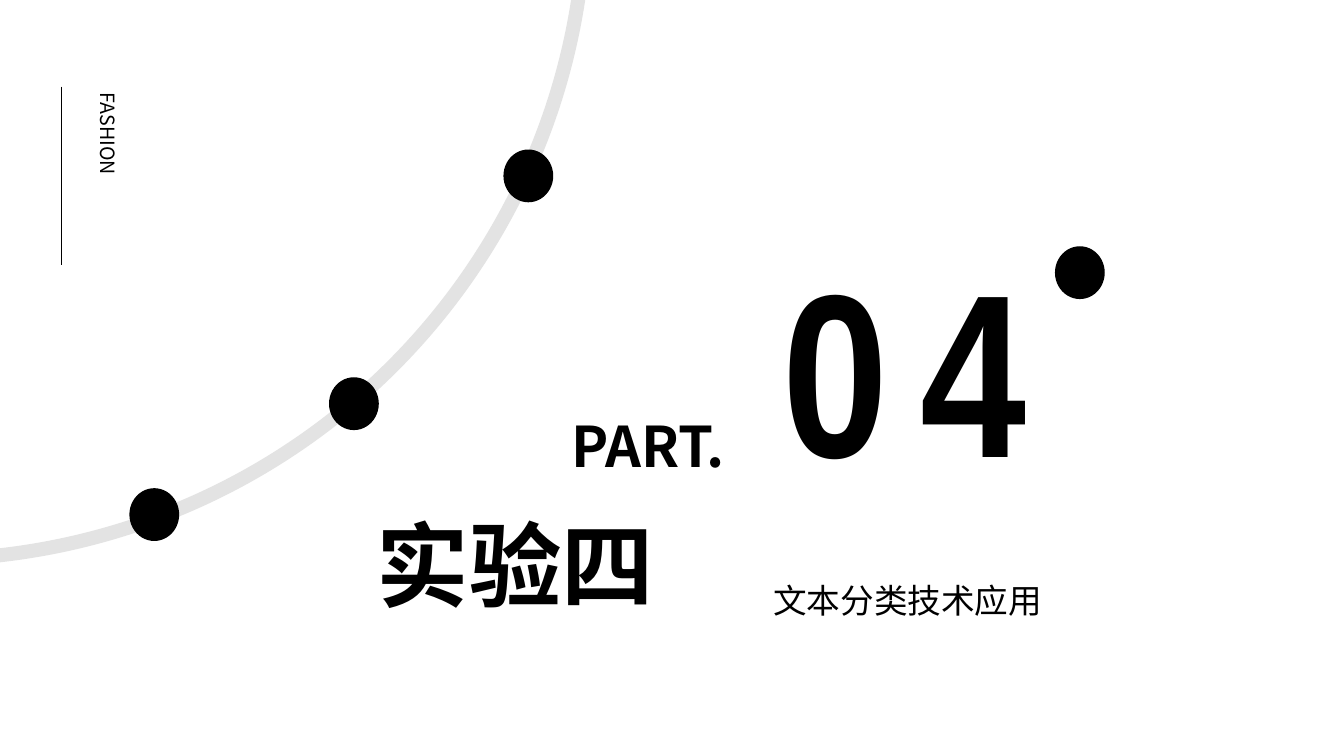
from dataclasses import dataclass

from lxml import etree
from pptx import Presentation
from pptx.dml.color import RGBColor
from pptx.enum.shapes import MSO_CONNECTOR, MSO_SHAPE
from pptx.enum.text import MSO_ANCHOR, MSO_AUTO_SIZE, PP_ALIGN
from pptx.oxml.ns import qn
from pptx.util import Inches, Pt

OVAL, STRAIGHT = MSO_SHAPE.OVAL, MSO_CONNECTOR.STRAIGHT
LEFT, CENTER, JUSTIFY = PP_ALIGN.LEFT, PP_ALIGN.CENTER, PP_ALIGN.JUSTIFY
TOP, MIDDLE = MSO_ANCHOR.TOP, MSO_ANCHOR.MIDDLE
GROW, FIXED = MSO_AUTO_SIZE.SHAPE_TO_FIT_TEXT, MSO_AUTO_SIZE.NONE


@dataclass(frozen=True)
class Theme:
    ink: RGBColor = RGBColor(0, 0, 0)
    ring: RGBColor = RGBColor(0xE3, 0xE3, 0xE3)
    font: str = "Noto Sans CJK SC"
    digit_font: str = "Arial Narrow"
    digit: int = 166
    title: int = 66
    label: int = 40
    subtitle: int = 24
    side: int = 14


THEME = Theme()
SLIDE_W, SLIDE_H = 13.33, 7.5

# Lengths in inches: (left, top, width, height)
RING = (-7.28, -7.54, 13.09, 13.09)
DOT_SIZE = (0.48, 0.51)
DOTS = [(1.29, 4.85), (3.27, 3.75), (5, 1.49), (10.47, 2.45)]
SIDE_RULE = (0.61, 0.86, 0.61, 2.63)
DIGITS = "04"
DIGIT_BOX = (7.52, 2.18, 1.54, 2.89)
DIGIT_STEP = 1.37
TEXTS = [
    ("PART.", (5.57, 4.03, 1.73, 0.77), THEME.label, dict(bold=True)),
    ("实验四", (3.64, 4.99, 4.34, 1.21), THEME.title, dict(bold=True)),
    ("文本分类技术应用", (7.57, 5.2, 4.88, 1.31), THEME.subtitle,
     dict(anchor=MIDDLE, spacing=1.5, fit=FIXED)),
    ("FASHION", (0.8, 0.82, 0.44, 2.72), THEME.side,
     dict(align=JUSTIFY, vertical=True)),
]


def add_oval(slide, box, color, weight, filled):
    sp = slide.shapes.add_shape(OVAL, *map(Inches, box))
    sp.shadow.inherit = False
    if filled:
        sp.fill.solid()
        sp.fill.fore_color.rgb = color
    else:
        sp.fill.background()
    sp.line.color.rgb = color
    sp.line.width = Pt(weight)


def add_rule(slide, ends):
    line = slide.shapes.add_connector(STRAIGHT, *map(Inches, ends))
    line.line.color.rgb = THEME.ink
    line.line.width = Pt(0.5)
    etree.SubElement(line._element.spPr, qn("a:effectLst"))


def add_text(slide, text, box, size, font=THEME.font, bold=False, align=LEFT,
             anchor=TOP, spacing=None, fit=GROW, vertical=False):
    tf = slide.shapes.add_textbox(*map(Inches, box)).text_frame
    tf.word_wrap = True
    tf.auto_size = fit
    tf.vertical_anchor = anchor
    if vertical:
        tf._txBody.bodyPr.set("vert", "eaVert")
    p = tf.paragraphs[0]
    p.text = text
    p.alignment = align
    if spacing:
        p.line_spacing = spacing
    p.font.name = font
    p.font.size = Pt(size)
    p.font.bold = bold
    p.font.color.rgb = THEME.ink
    latin = p._p.pPr.find(".//" + qn("a:latin"))
    latin.addnext(latin.makeelement(qn("a:ea"), {"typeface": font}))


def main():
    prs = Presentation()
    prs.slide_width, prs.slide_height = Inches(SLIDE_W), Inches(SLIDE_H)
    slide = prs.slides.add_slide(prs.slide_layouts[6])

    add_oval(slide, RING, THEME.ring, 10, filled=False)
    for corner in DOTS:
        add_oval(slide, corner + DOT_SIZE, THEME.ink, 1, filled=True)
    add_rule(slide, SIDE_RULE)

    for text, box, size, style in TEXTS:
        add_text(slide, text, box, size, **style)
    left, *rest = DIGIT_BOX
    for i, digit in enumerate(DIGITS):
        add_text(slide, digit, (left + i * DIGIT_STEP, *rest), THEME.digit,
                 font=THEME.digit_font, bold=True, align=CENTER)

    prs.save("out.pptx")


if __name__ == "__main__":
    main()
